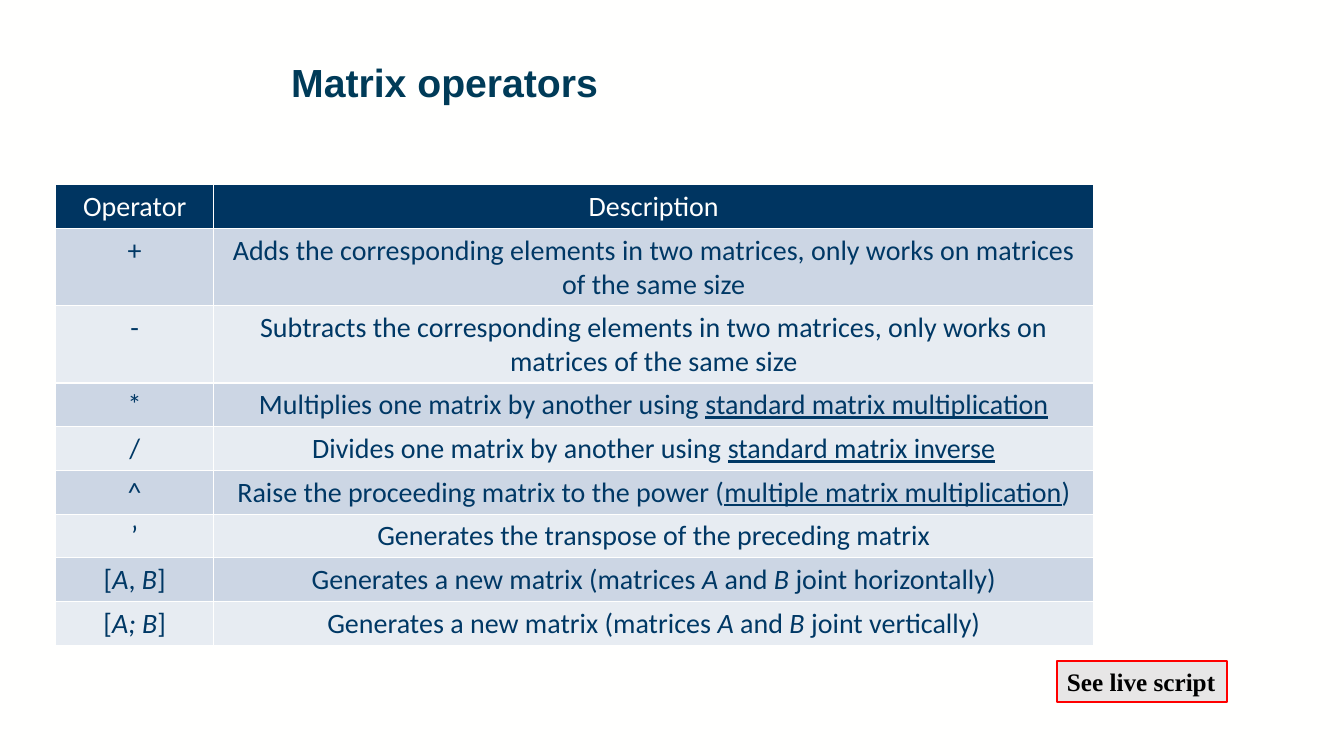
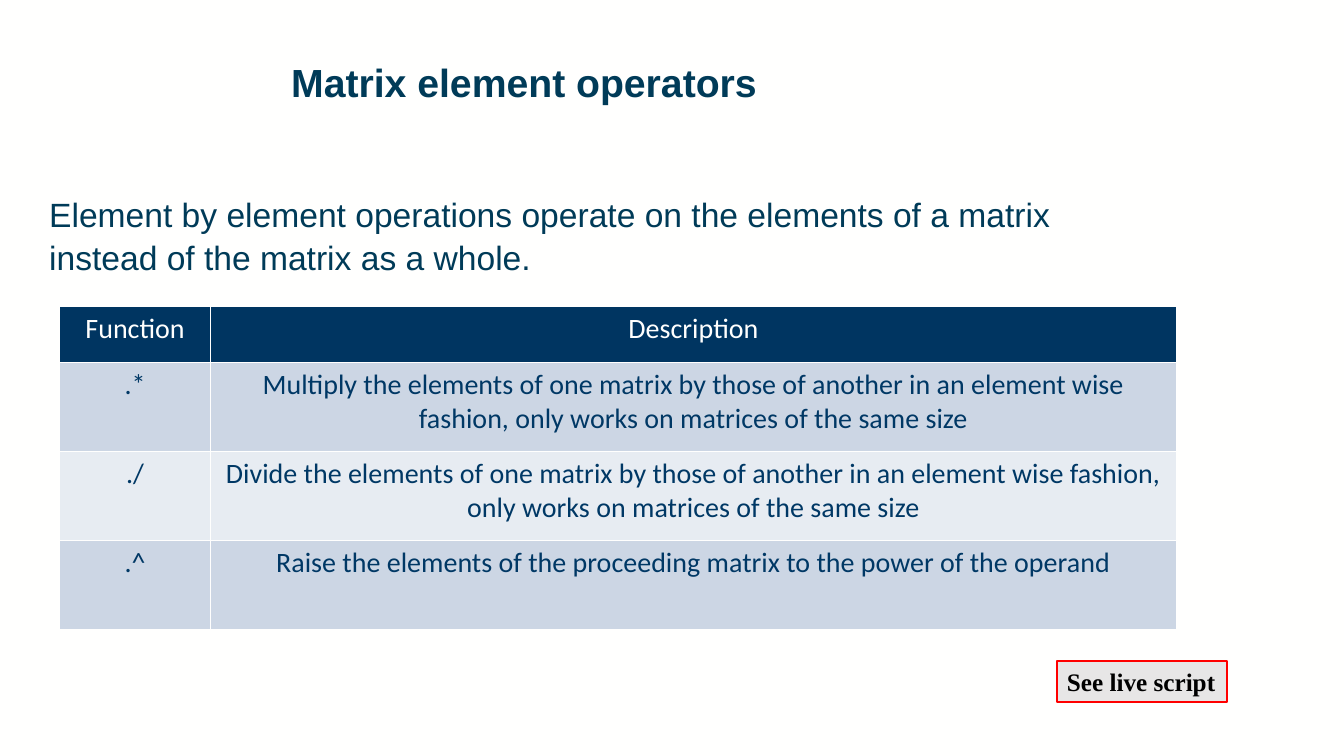
from pptx import Presentation
from pptx.dml.color import RGBColor
from pptx.enum.shapes import MSO_SHAPE
from pptx.enum.text import MSO_ANCHOR, MSO_AUTO_SIZE, PP_ALIGN
from pptx.oxml import parse_xml
from pptx.oxml.ns import nsdecls
from pptx.util import Cm, Pt

RECT = MSO_SHAPE.RECTANGLE
TOP = MSO_ANCHOR.TOP
LEFT, CENTER = PP_ALIGN.LEFT, PP_ALIGN.CENTER
GROW = MSO_AUTO_SIZE.SHAPE_TO_FIT_TEXT

# Content: a text is a string or a list of (words, run format) pairs
U, I, PLAIN = {"underline": True}, {"italic": True}, {}


def joined(direction):
    return [("Generates a new matrix (matrices ", PLAIN), ("A", I), (" and ", PLAIN),
            ("B", I), (f" joint {direction})", PLAIN)]


SLIDES = [
    {
        "title": "Matrix operators",
        "at": (1.4, 4.65), "cols": (3.99, 22.17), "row_heights": (1.04, 1.04),
        "rows": [
            ("Operator", "Description"),
            ("+", "Adds the corresponding elements in two matrices, "
                  "only works on matrices of the same size"),
            ("-", "Subtracts the corresponding elements in two matrices, "
                  "only works on matrices of the same size"),
            ("*", [("Multiplies one matrix by another using ", PLAIN),
                   ("standard matrix multiplication", U)]),
            ("/", [("Divides one matrix by another using ", PLAIN),
                   ("standard matrix inverse", U)]),
            ("^", [("Raise the proceeding matrix to the power (", PLAIN),
                   ("multiple matrix multiplication", U), (")", PLAIN)]),
            ("’", "Generates the transpose of the preceding matrix"),
            ([("[", PLAIN), ("A", I), (", ", PLAIN), ("B", I), ("]", PLAIN)],
             joined("horizontally")),
            ([("[", PLAIN), ("A; B", I), ("]", PLAIN)], joined("vertically")),
        ],
    },
    {
        "title": "Matrix element operators",
        "intro": "Element by element operations operate on the elements of a matrix "
                 "instead of the matrix as a whole.",
        "at": (1.5, 7.72), "cols": (3.81, 24.33), "row_heights": (1.42, 2.24),
        "rows": [
            ("Function", "Description"),
            (".*", "Multiply the elements of one matrix by those of another in an "
                   "element wise fashion, only works on matrices of the same size"),
            ("./", "Divide the elements of one matrix by those of another in an "
                   "element wise fashion, only works on matrices of the same size"),
            (".^", "Raise the elements of the proceeding matrix to the power of the operand"),
        ],
    },
]
BUTTON = "See live script"

# Theme
THEME = {
    "paper": "FFFFFE", "header": "003561", "bands": ("CCD6E4", "E7ECF2"),
    "button": "E7E6E6", "button_line": "FF0000",
    "title": {"name": "Arial", "size": Pt(28), "bold": True, "color": "003B58"},
    "intro": {"name": "Arial", "size": Pt(24), "bold": False, "color": "003B58"},
    "head": {"name": "Calibri", "size": Pt(20), "bold": False, "color": "FFFFFE"},
    "cell": {"name": "Calibri", "size": Pt(20), "bold": False, "color": "003865"},
    "live": {"name": "Times New Roman", "size": Pt(18), "bold": True, "color": "000000"},
}


# Helpers
def paint(fill, color):
    fill.solid()
    fill.fore_color.rgb = RGBColor.from_string(color)


def write(tf, text, style, align=LEFT, spacing=None):
    p = tf.paragraphs[0]
    p.alignment = align
    if spacing:
        p.line_spacing = spacing
    for words, extra in [(text, PLAIN)] if isinstance(text, str) else text:
        r = p.add_run()
        r.text = words
        for key, value in {**THEME[style], **extra}.items():
            if key == "color":
                r.font.color.rgb = RGBColor.from_string(value)
            else:
                setattr(r.font, key, value)


def add_text(slide, box, text, style, spacing):
    tf = slide.shapes.add_textbox(*map(Cm, box)).text_frame
    tf.word_wrap = True
    tf.vertical_anchor = TOP
    write(tf, text, style, spacing=spacing)


def add_button(slide):
    sp = slide.shapes.add_shape(RECT, Cm(26.64), Cm(16.66), Cm(4.29), Cm(1.02))
    sp.shadow.inherit = False
    paint(sp.fill, THEME["button"])
    paint(sp.line.fill, THEME["button_line"])
    sp.line.width = Pt(1.5)
    tf = sp.text_frame
    tf.word_wrap = False
    tf.auto_size = GROW
    tf.vertical_anchor = TOP
    write(tf, BUTTON, "live")


def add_borders(cell):
    tcPr = cell._tc.get_or_add_tcPr()
    for side in ("lnL", "lnR", "lnT", "lnB"):
        tcPr.append(parse_xml(
            f'<a:{side} {nsdecls("a")} w="{Pt(1)}"><a:solidFill>'
            f'<a:srgbClr val="{THEME["paper"]}"/></a:solidFill></a:{side}>'))


def add_operators(slide, data):
    rows, widths = data["rows"], data["cols"]
    head_height, row_height = data["row_heights"]
    heights = [head_height] + [row_height] * (len(rows) - 1)
    box = (*data["at"], sum(widths), sum(heights))
    table = slide.shapes.add_table(len(rows), len(widths), *map(Cm, box)).table
    table.first_row = table.horz_banding = False
    for column, width in zip(table.columns, widths):
        column.width = Cm(width)
    for i, texts in enumerate(rows):
        table.rows[i].height = Cm(heights[i])
        color = THEME["bands"][(i - 1) % 2] if i else THEME["header"]
        for j, text in enumerate(texts):
            cell = table.cell(i, j)
            add_borders(cell)
            paint(cell.fill, color)
            write(cell.text_frame, text, "cell" if i else "head", CENTER)


# Slides
def main():
    prs = Presentation()
    prs.slide_width, prs.slide_height = Cm(33.87), Cm(19.05)
    paint(prs.slide_master.background.fill, THEME["paper"])
    for data in SLIDES:
        slide = prs.slides.add_slide(prs.slide_layouts[6])
        add_text(slide, (7.09, 1.47, 25.58, 2.46), data["title"], "title", 0.9)
        if "intro" in data:
            add_text(slide, (0.99, 4.7, 26.57, 7.54), data["intro"], "intro", 1.06)
        add_operators(slide, data)
        add_button(slide)
    prs.save("out.pptx")


if __name__ == "__main__":
    main()
